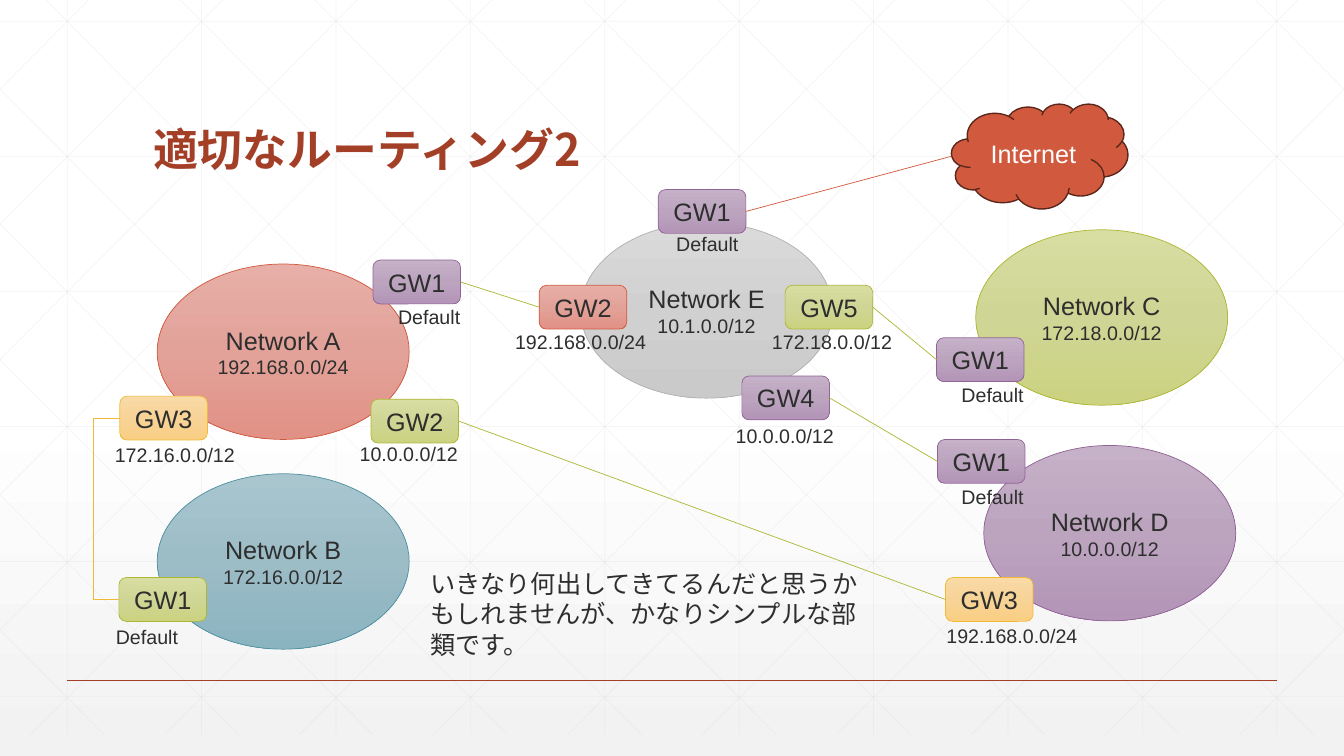
from copy import deepcopy
from lxml.etree import SubElement
from pptx import Presentation
from pptx.dml.color import RGBColor
from pptx.enum.shapes import MSO_CONNECTOR as Wire, MSO_SHAPE as Preset
from pptx.enum.text import MSO_ANCHOR as Anchor, MSO_AUTO_SIZE as Fit, PP_ALIGN as Align
from pptx.oxml.ns import qn
from pptx.util import Inches, Pt

THEME = {
    "latin": "Arial", "japanese": "Noto Sans CJK JP",
    "title": 32, "body": 18, "small": 14,
    "ink": "2D2E2D", "accent": "A43F27", "white": "FFFFFF", "grid": "D9D9D9",
    "tones": {
        "red": ("D15A3E", ("E7AFA7", "E2A299", "E29186")),
        "purple": ("926397", ("C5B1C8", "BCA4BF", "B395B7")),
        "green": ("AEB733", ("D8DEA1", "CFD595", "CBD381")),
        "yellow": ("F0BA34", ("F9DAA6", "F7D397", "FACF83")),
        "blue": ("4F91A1", ("A9C6CF", "9CBCC6", "8AB4C0")),
        "gray": ("B2B2B2", ("DADADA", "D0D0D0", "CACACA")),
    },
    "backdrop": ("FFFFFF", "FFFFFF", "F2F2F2"),
    "cloud": "D15A3E", "cloud_edge": "5C271B",
}
TONES = THEME["tones"]

deck = Presentation()
deck.slide_width, deck.slide_height = Inches(13.33), Inches(7.5)
COLUMN, ROW = deck.slide_width / 100, deck.slide_height / 100
slide = deck.slides.add_slide(deck.slide_layouts[6])
shapes = slide.shapes


def write(frame, lines, color=THEME["ink"], font=THEME["latin"], align=Align.LEFT):
    for index, (text, size) in enumerate(lines):
        para = frame.paragraphs[0] if index == 0 else frame.add_paragraph()
        para.alignment = align
        span = para.add_run()
        span.text = text
        span.font.size = Pt(size)
        span.font.name = font
        span.font.color.rgb = RGBColor.from_string(color)
        SubElement(span.font._element, qn("a:ea"), typeface=font)


def draw_line(start, end, color, width=0.5, kind=Wire.STRAIGHT):
    line = shapes.add_connector(kind, round(start[0] * COLUMN), round(start[1] * ROW),
                                round(end[0] * COLUMN), round(end[1] * ROW))
    line.line.color.rgb = RGBColor.from_string(color)
    line.line.width = Pt(width)
    SubElement(line.element.spPr, qn("a:effectLst"))
    return line


TOP, BOTTOM, RUN = -2.8, 97.2, 55.9
grid_lines = [((5 + 10 * step, TOP), (5 + 10 * step, BOTTOM)) for step in range(10)]
grid_lines += [((0, 2.8 + 17.87 * step), (100, 2.8 + 17.87 * step)) for step in range(6)]
for step in range(-5, 10):
    origin = 1.85 + 10 * step
    (left, upper), (right, lower) = [
        (edge, TOP + (edge - origin) * 100 / RUN)
        for edge in (max(0, origin), min(100, origin + RUN))]
    grid_lines += [((left, upper), (right, lower)),
                   ((100 - left, upper), (100 - right, lower))]
for start, end in grid_lines:
    line = draw_line(start, end, THEME["grid"])
    for tint in line.element.iter(qn("a:srgbClr")):
        SubElement(tint, qn("a:alpha"), val="25000")
draw_line((5, 90), (95, 90), THEME["accent"], 1)

title = shapes.add_textbox(*[round(size) for size in (
    10.65 * COLUMN, 7.33 * ROW, 78.75 * COLUMN, 16.67 * ROW)])
title.text_frame.word_wrap = True
title.text_frame.vertical_anchor = Anchor.BOTTOM
write(title.text_frame, [("適切なルーティング2", THEME["title"])],
      THEME["accent"], THEME["japanese"])
title.text_frame.paragraphs[0].line_spacing = 0.9
title.text_frame.paragraphs[0].runs[0].font.bold = True

NETWORKS = [
    ("A", 11.7, 34.93, "red", "192.168.0.0/24"),
    ("D", 73.2, 58.93, "purple", "10.0.0.0/12"),
    ("C", 72.6, 30.4, "green", "172.18.0.0/12"),
    ("B", 11.7, 62.67, "blue", "172.16.0.0/12"),
    ("E", 43.2, 29.47, "gray", "10.1.0.0/12"),
]
GATEWAYS = [
    ("A", "GW1", 27.75, 34.4, "purple", "Default", 28.88, 39.73),
    ("A", "GW2", 27.6, 52.8, "green", "10.0.0.0/12", 26.02, 57.73),
    ("A", "GW3", 8.92, 52.4, "yellow", "172.16.0.0/12", 7.8, 57.87),
    ("D", "GW1", 69.75, 58.13, "purple", "Default", 70.8, 63.47),
    ("D", "GW3", 70.35, 76.4, "yellow", "192.168.0.0/24", 69.68, 81.87),
    ("C", "GW1", 69.68, 44.67, "purple", "Default", 70.8, 50),
    ("B", "GW1", 8.85, 76.4, "green", "Default", 7.88, 82),
    ("E", "GW1", 48.98, 25.07, "purple", "Default", 49.58, 30),
    ("E", "GW2", 40.12, 37.73, "red", "192.168.0.0/24", 37.58, 42.93),
    ("E", "GW5", 58.42, 37.73, "green", "172.18.0.0/12", 56.7, 42.93),
    ("E", "GW4", 55.2, 49.73, "purple", "10.0.0.0/12", 54, 55.47),
]
LABEL_WIDTHS = {"Default": 6.15, "10.0.0.0/12": 8.85,
                "172.16.0.0/12": 10.5, "172.18.0.0/12": 10.5, "192.168.0.0/24": 11.7}

blocks = [(name, Preset.OVAL, (left, top, 18.75, 23.2), *TONES[tone], 0.5, THEME["ink"],
           [(f"Network {name}", THEME["body"]), (address, THEME["small"])])
          for name, left, top, tone, address in NETWORKS]
blocks += [(network + name, Preset.ROUNDED_RECTANGLE, (left, top, 6.52, 5.8), *TONES[tone],
            0.5, THEME["ink"], [(name, THEME["body"])])
           for network, name, left, top, tone, *label in GATEWAYS]
blocks.append(("Internet", Preset.CLOUD, (70.8, 13.73, 13.12, 13.87), THEME["cloud_edge"],
               (THEME["cloud"],), 1, THEME["white"], [("Internet", THEME["body"])]))

nodes = {}
fills = [(slide.background.fill, THEME["backdrop"], 0.53)]
for key, preset, (left, top, width, height), edge, stops, weight, ink, lines in blocks:
    box = shapes.add_shape(preset, round(left * COLUMN), round(top * ROW),
                           round(width * COLUMN), round(height * ROW))
    box.shadow.inherit = False
    box.line.color.rgb = RGBColor.from_string(edge)
    box.line.width = Pt(weight)
    box.text_frame.vertical_anchor = Anchor.MIDDLE
    write(box.text_frame, lines, ink, align=Align.CENTER)
    fills.append((box.fill, stops, 0.5))
    nodes[key] = box

for fill, colors, middle in fills:
    if len(colors) == 1:
        fill.solid()
        fill.fore_color.rgb = RGBColor.from_string(colors[0])
        continue
    fill.gradient()
    fill.gradient_angle = 270
    first = fill.gradient_stops[0]._gs
    first.addnext(deepcopy(first))
    for stop, color, position in zip(fill.gradient_stops, colors, (0, middle, 1)):
        stop.color.rgb = RGBColor.from_string(color)
        stop.position = position

notes = [(left, top, LABEL_WIDTHS[text], 4.53, text, THEME["small"], False)
         for *gateway, text, left, top in GATEWAYS]
notes.append((31.27, 74.53, 33.38, 13.47,
              "いきなり何出してきてるんだと思うかもしれませんが、かなりシンプルな部類です。",
              THEME["body"], True))
for left, top, width, height, text, size, wrap in notes:
    box = shapes.add_textbox(round(left * COLUMN), round(top * ROW),
                             round(width * COLUMN), round(height * ROW))
    box.text_frame.word_wrap = wrap
    box.text_frame.auto_size = Fit.SHAPE_TO_FIT_TEXT
    write(box.text_frame, [(text, size)])

LEFT, RIGHT = 1, 3
for source, target in (("AGW2", "DGW3"), ("EGW4", "DGW1"), ("EGW5", "CGW1"), ("AGW1", "EGW2")):
    link = draw_line((0, 0), (1, 1), TONES["green"][0])
    link.begin_connect(nodes[source], RIGHT)
    link.end_connect(nodes[target], LEFT)

uplink = draw_line((55.5, 27.97), (70.8, 20.67), TONES["red"][0])
uplink.begin_connect(nodes["EGW1"], RIGHT)

detour = draw_line((8.92, 55.3), (8.85, 79.3), TONES["yellow"][0], kind=Wire.ELBOW)
detour.begin_connect(nodes["AGW3"], LEFT)
detour.end_connect(nodes["BGW1"], LEFT)
reach = round(1.95 * COLUMN / detour.width * 100000)
SubElement(detour.element.spPr.find(qn("a:prstGeom")).find(qn("a:avLst")),
           qn("a:gd"), name="adj1", fmla=f"val {reach}")

deck.save("out.pptx")
